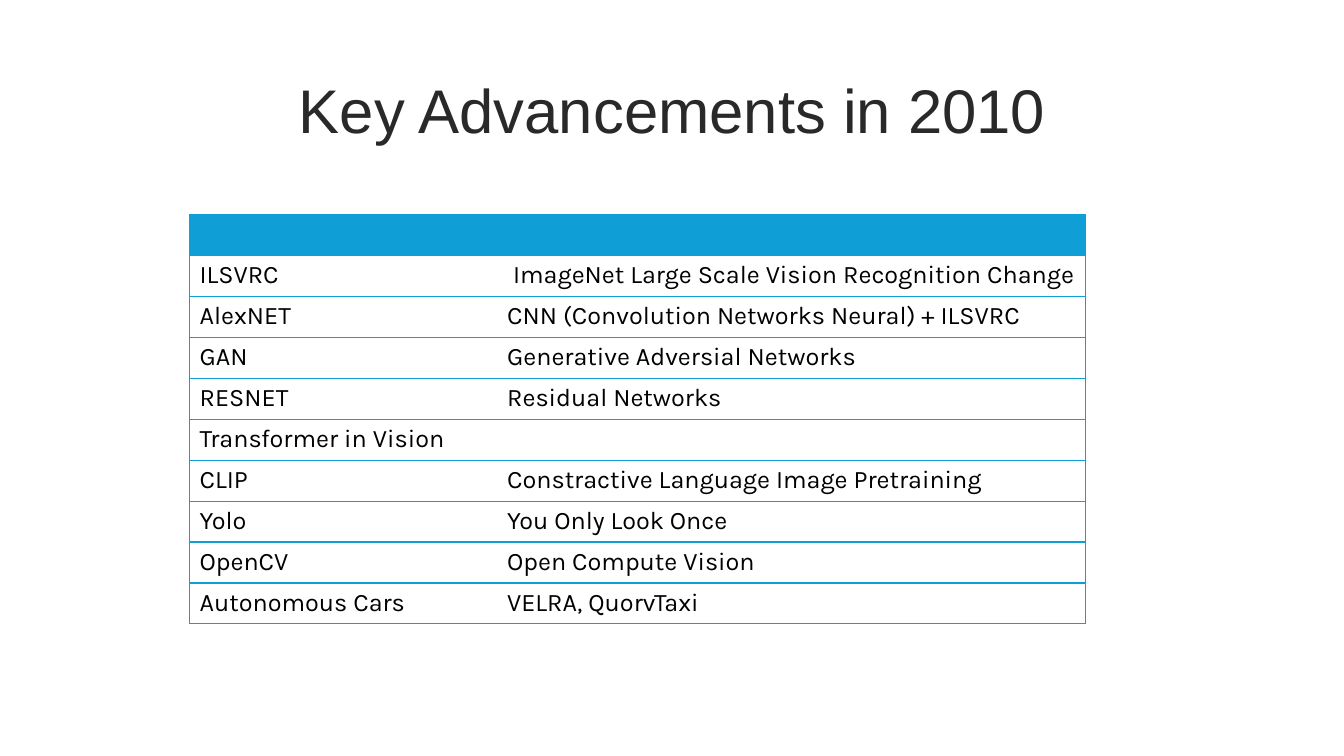
"""Build a slide with a two-column table of key advancements in computer vision."""
from dataclasses import dataclass
from typing import Optional

from lxml.etree import SubElement
from pptx import Presentation
from pptx.dml.color import RGBColor
from pptx.enum.text import MSO_ANCHOR, PP_ALIGN
from pptx.oxml.ns import qn
from pptx.table import _Cell
from pptx.util import Inches, Pt

BLUE = RGBColor(0x0F, 0x9E, 0xD5)
BLACK = RGBColor(0x00, 0x00, 0x00)
CHARCOAL = RGBColor(0x29, 0x29, 0x29)
ROW_HEIGHT = Inches(0.406)
COLUMN_WIDTHS = (Inches(3.05), Inches(5.84))
BORDER_WIDTH = Pt(1)


@dataclass(frozen=True)
class Advancement:
    name: str
    meaning: str = ""


ADVANCEMENTS = (
    Advancement("ILSVRC", " ImageNet Large Scale Vision Recognition Change"),
    Advancement("AlexNET", "CNN (Convolution Networks Neural) + ILSVRC"),
    Advancement("GAN", "Generative Adversial Networks"),
    Advancement("RESNET", "Residual Networks"),
    Advancement("Transformer in Vision"),
    Advancement("CLIP", "Constractive Language Image Pretraining"),
    Advancement("Yolo", "You Only Look Once"),
    Advancement("OpenCV", "Open Compute Vision"),
    Advancement("Autonomous Cars", "VELRA, QuorvTaxi"),
)


def add_border(cell: _Cell, side: str, color: Optional[RGBColor]) -> None:
    properties = cell._tc.get_or_add_tcPr()
    line = SubElement(properties, qn(f"a:ln{side}"), w=str(BORDER_WIDTH))
    if color is None:
        SubElement(line, qn("a:noFill"))
    else:
        fill = SubElement(line, qn("a:solidFill"))
        SubElement(fill, qn("a:srgbClr"), val=str(color))


def format_cell(cell: _Cell, text: str, column: int, is_header: bool) -> None:
    cell.text = text
    font = cell.text_frame.paragraphs[0].font
    font.name = "Karla"
    font.size = Pt(18)
    font.color.rgb = BLACK
    add_border(cell, "L", BLUE if column == 0 else None)
    add_border(cell, "R", BLUE if column == 1 else None)
    add_border(cell, "T", BLUE)
    add_border(cell, "B", BLUE)
    if is_header:
        cell.fill.solid()
        cell.fill.fore_color.rgb = BLUE
    else:
        cell.fill.background()


def add_title(page, text: str) -> None:
    title = page.shapes.title
    title.left, title.top = Inches(0.92), Inches(0.4)
    title.width, title.height = Inches(11.5), Inches(1.45)
    title.text_frame.text = text
    title.text_frame.word_wrap = True
    title.text_frame.vertical_anchor = MSO_ANCHOR.MIDDLE
    para = title.text_frame.paragraphs[0]
    para.alignment = PP_ALIGN.CENTER
    para.line_spacing = 0.9
    para.font.name = "Arial"
    para.font.size = Pt(44)
    para.font.color.rgb = CHARCOAL


def add_advancements(page) -> None:
    rows = (Advancement(""), *ADVANCEMENTS)
    table = page.shapes.add_table(
        len(rows), len(COLUMN_WIDTHS), Inches(1.88), Inches(2.13),
        sum(COLUMN_WIDTHS), ROW_HEIGHT * len(rows),
    ).table
    table.horz_banding = False
    for column, width in zip(table.columns, COLUMN_WIDTHS):
        column.width = width
    for index, row in enumerate(rows):
        table.rows[index].height = ROW_HEIGHT
        for column, text in enumerate((row.name, row.meaning)):
            format_cell(table.cell(index, column), text, column, index == 0)


def main() -> None:
    deck = Presentation()
    deck.slide_width, deck.slide_height = Inches(13.33), Inches(7.5)
    page = deck.slides.add_slide(deck.slide_layouts[5])
    add_title(page, "Key Advancements in 2010")
    add_advancements(page)
    deck.save("out.pptx")


if __name__ == "__main__":
    main()
